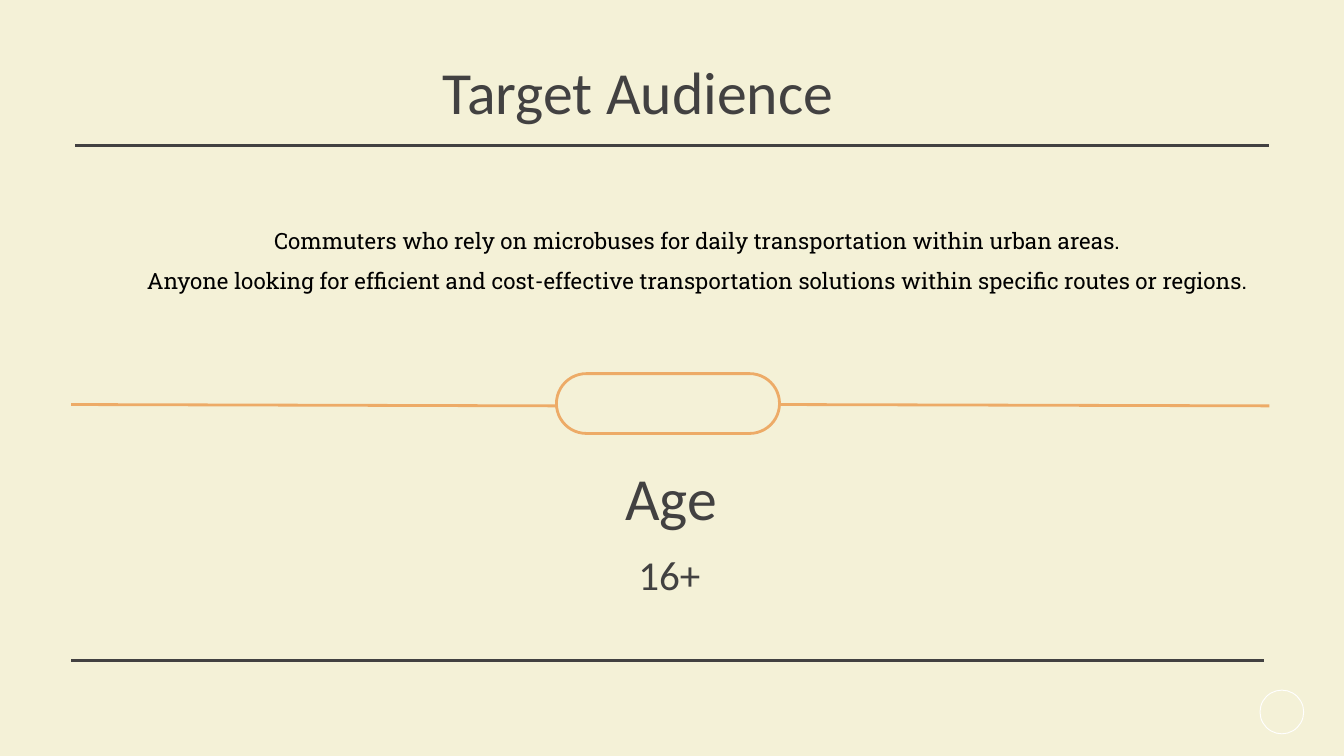
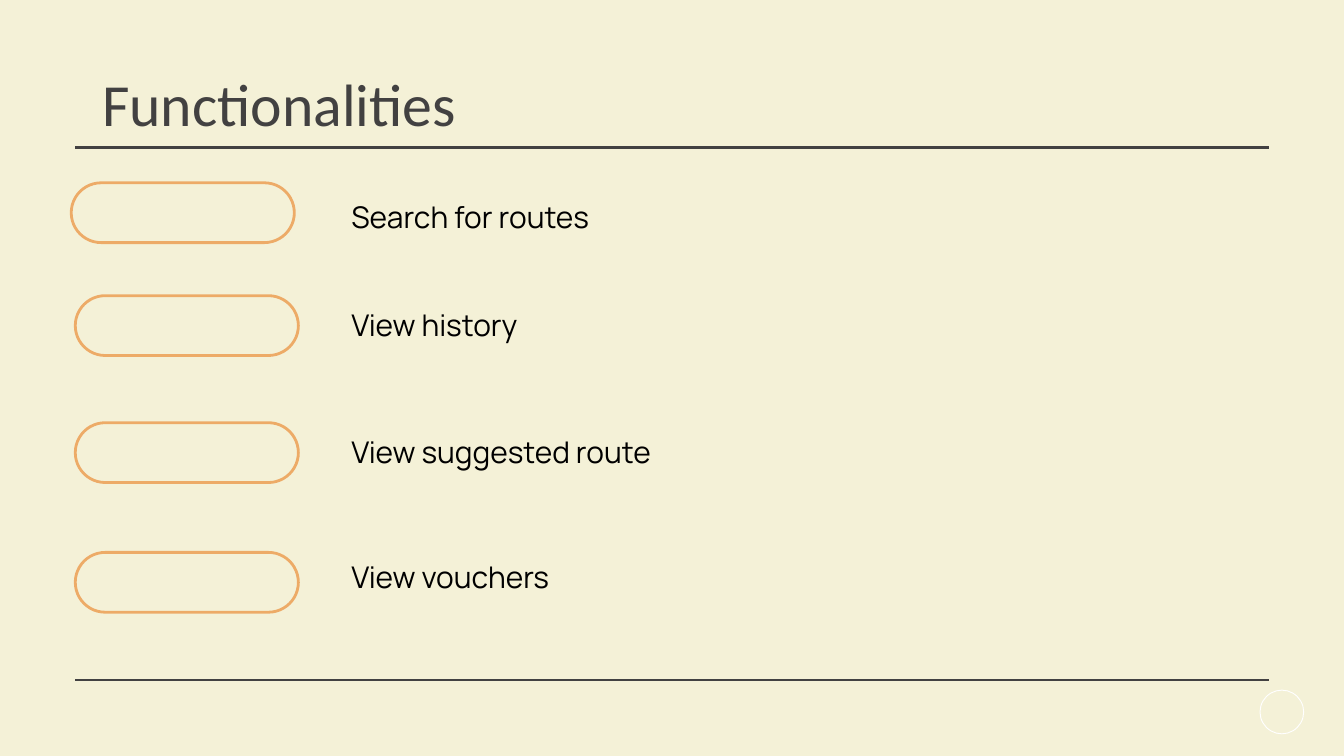
from dataclasses import dataclass

from lxml.etree import SubElement
from pptx import Presentation
from pptx.dml.color import RGBColor
from pptx.enum.shapes import MSO_CONNECTOR as Connector, MSO_SHAPE as Shape
from pptx.enum.text import MSO_ANCHOR as Anchor, MSO_AUTO_SIZE as AutoSize, PP_ALIGN as Align
from pptx.oxml.ns import qn
from pptx.util import Inches, Pt


@dataclass(frozen=True)
class Theme:
    paper: RGBColor = RGBColor.from_string("F4F1D7")
    dark: RGBColor = RGBColor.from_string("424141")
    accent: RGBColor = RGBColor.from_string("EDAB67")
    black: RGBColor = RGBColor.from_string("000000")
    white: RGBColor = RGBColor.from_string("FFFFFF")
    heading_font: str = "Calibri"
    body_font: str = "Roboto Slab"
    list_font: str = "Manrope"
    heading_size: float = 64
    value_size: float = 44
    list_size: float = 32
    body_size: float = 24
    rule_width: float = 3
    circle_width: float = 1


THEME = Theme()
PILL_WIDTH, PILL_HEIGHT = 3.32, 0.89


def place(shape, left, top, width, height):
    shape.left, shape.top = Inches(left), Inches(top)
    shape.width, shape.height = Inches(width), Inches(height)


def write(box, lines, font, size, color, align=Align.LEFT, spacing=1.0, inset=True, wrap=True):
    """Fill a text box or placeholder with equally formatted paragraphs."""
    frame = box.text_frame
    frame.text = "\n".join(lines)
    frame.word_wrap = wrap
    frame.auto_size = AutoSize.NONE
    frame.vertical_anchor = Anchor.TOP
    if not inset:
        frame.margin_left = frame.margin_right = frame.margin_top = frame.margin_bottom = 0
    for para in frame.paragraphs:
        para.alignment = align
        para.line_spacing = spacing
        para.space_before = Pt(0)
        for span in para.runs:
            span.font.name = font
            span.font.size = Pt(size)
            span.font.color.rgb = color


def add_text(page, at, lines, font, size, color, **layout):
    box = page.shapes.add_textbox(*map(Inches, at))
    write(box, lines, font, size, color, **layout)


def add_heading(box, text, align=Align.LEFT):
    write(box, [text], THEME.heading_font, THEME.heading_size, THEME.dark,
          align=align, spacing=1.4, inset=False)


def add_rule(page, start, end, color=THEME.dark):
    rule = page.shapes.add_connector(Connector.STRAIGHT, *map(Inches, start + end))
    rule.line.color.rgb = color
    rule.line.width = Pt(THEME.rule_width)
    SubElement(rule.line._get_or_add_ln().getparent(), qn("a:effectLst"))


def add_outline(page, kind, at, color, width):
    shape = page.shapes.add_shape(kind, *map(Inches, at))
    shape.shadow.inherit = False
    shape.fill.background()
    shape.line.color.rgb = color
    shape.line.width = Pt(width)
    return shape


def add_pill(page, left, top):
    pill = add_outline(page, Shape.ROUNDED_RECTANGLE, (left, top, PILL_WIDTH, PILL_HEIGHT),
                       THEME.accent, THEME.rule_width)
    pill.adjustments[0] = 0.5


def add_page(deck, title, title_at, top_rule, bottom_rule):
    """Add a page with its title, two dark rules and the corner circle."""
    page = deck.slides.add_slide(deck.slide_layouts.get_by_name("Title Only"))
    place(page.shapes.title, *title_at)
    add_heading(page.shapes.title, title)
    add_outline(page, Shape.OVAL, (18.75, 10.27, 0.65, 0.65), THEME.white, THEME.circle_width)
    for left, right, y in (top_rule, bottom_rule):
        add_rule(page, (left, y), (right, y))
    return page


def build_audience(deck):
    page = add_page(deck, "Target Audience", (6.59, 0.39, 11.26, 1.51),
                    (1.12, 18.88, 2.17), (1.06, 18.81, 9.83))
    add_text(page, (1.98, 3.13, 16.79, 1.24), [
        "Commuters who rely on microbuses for daily transportation within urban areas.",
        "Anyone looking for efficient and cost-effective transportation solutions "
        "within specific routes or regions.",
    ], THEME.body_font, THEME.body_size, THEME.black, align=Align.CENTER, spacing=1.5)

    # Divider with a pill in its middle
    pill_left = 8.28
    add_rule(page, (1.06, 6.02), (pill_left, 6.04), THEME.accent)
    add_rule(page, (pill_left + PILL_WIDTH, 6.02), (18.89, 6.04), THEME.accent)
    add_pill(page, pill_left, 5.56)

    # Age group
    age = page.shapes.add_textbox(*map(Inches, (3.69, 6.43, 6.98, 1.51)))
    add_heading(age, "Age", Align.RIGHT)
    add_text(page, (9.4, 8.12, 4.39, 0.84), ["16+"],
             THEME.heading_font, THEME.value_size, THEME.dark)


def build_functionalities(deck):
    page = add_page(deck, "Functionalities", (1.52, 0.57, 14.36, 1.51),
                    (1.12, 18.88, 2.2), (1.12, 18.88, 10.12))
    # Label, its top and width, then the left and top of its pill
    functions = [
        ("Search for routes", 2.91, 3.77, 1.06, 2.72),
        ("View history", 4.52, 2.74, 1.12, 4.4),
        ("View suggested route", 6.4, 4.78, 1.12, 6.29),
        ("View vouchers", 8.27, 3.26, 1.12, 8.22),
    ]
    for label, top, width, pill_left, pill_top in functions:
        add_pill(page, pill_left, pill_top)
        add_text(page, (5.13, top, width, 0.64), [label],
                 THEME.list_font, THEME.list_size, THEME.black, wrap=False)


def main():
    deck = Presentation()
    deck.slide_width, deck.slide_height = Inches(20), Inches(11.25)
    background = deck.slide_master.background.fill
    background.solid()
    background.fore_color.rgb = THEME.paper
    build_audience(deck)
    build_functionalities(deck)
    deck.save("out.pptx")


if __name__ == "__main__":
    main()
